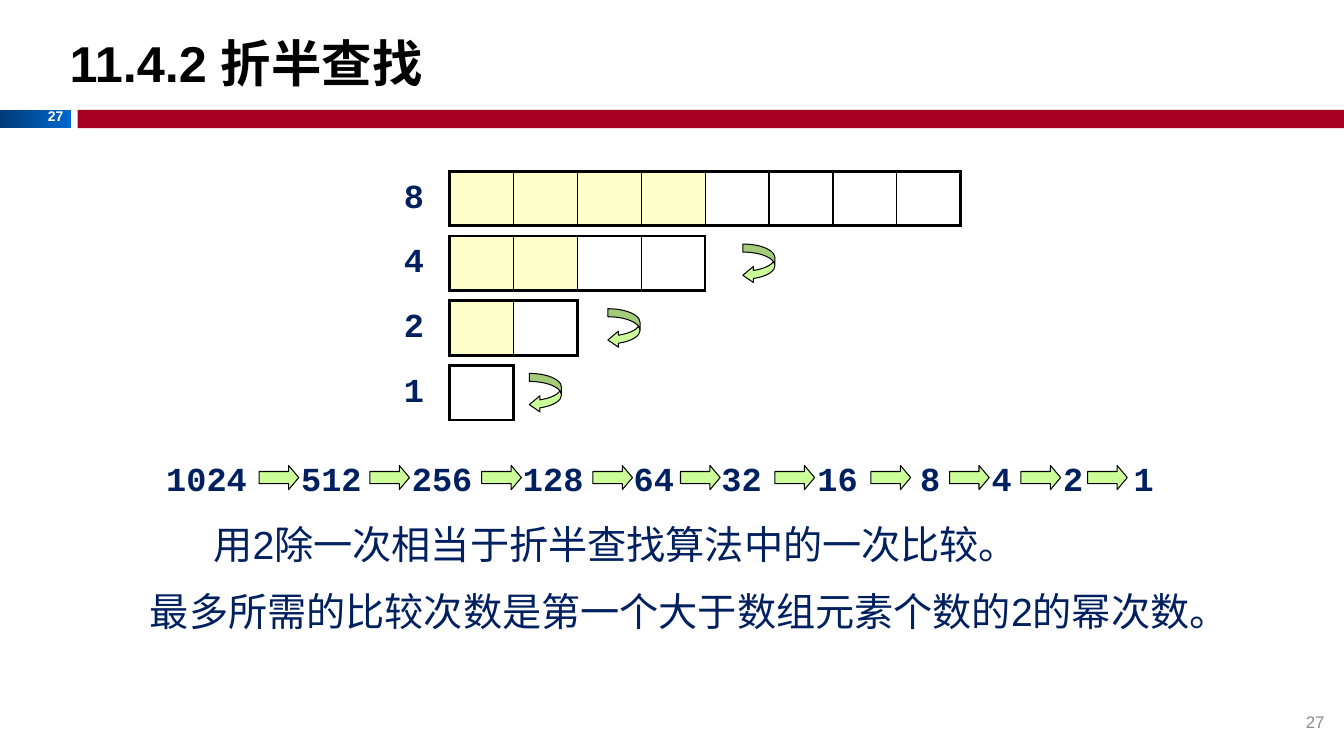
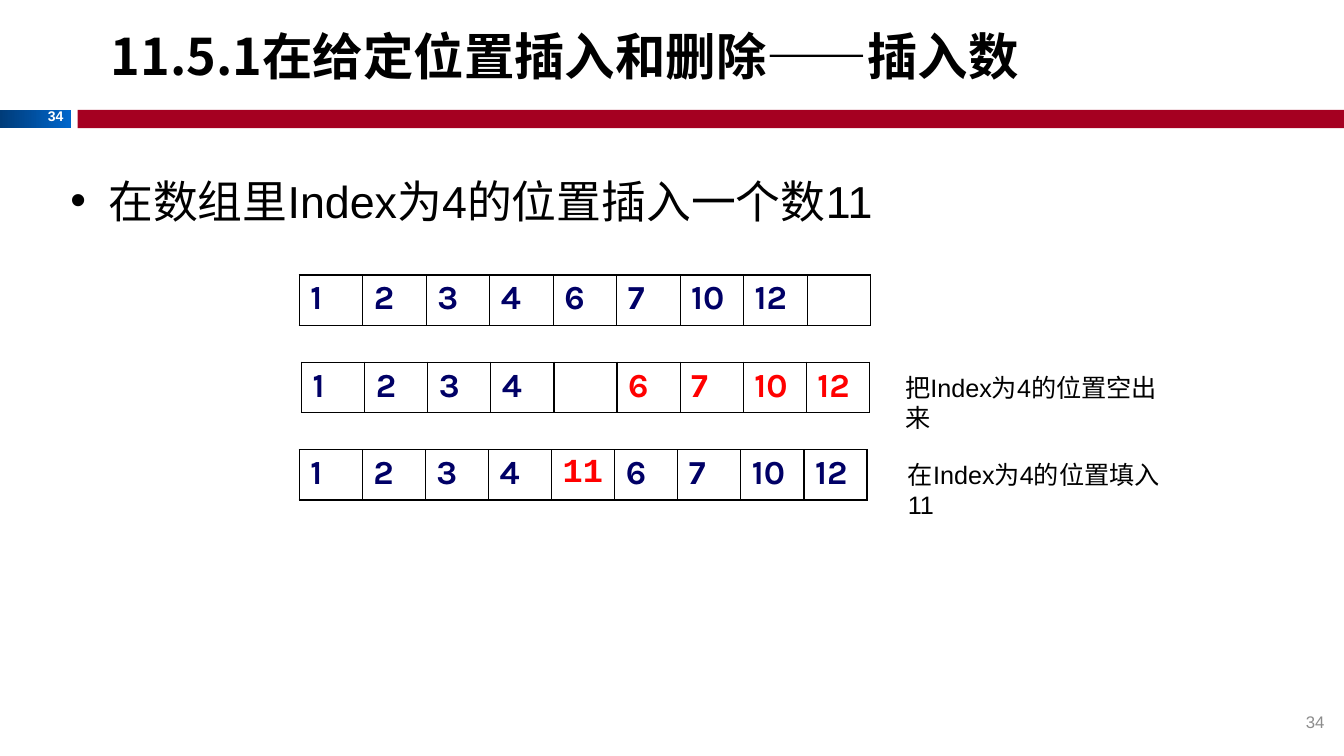
"""Build two lecture slides on binary search and on array insertion."""
import lxml.etree
import pptx
import pptx.dml.color
import pptx.enum.shapes
import pptx.enum.text
import pptx.oxml.ns
import pptx.util

Cm, Pt = pptx.util.Cm, pptx.util.Pt
SHAPE = pptx.enum.shapes.MSO_SHAPE
ANCHOR = pptx.enum.text.MSO_ANCHOR
ALIGN = pptx.enum.text.PP_ALIGN
qn = pptx.oxml.ns.qn

COLORS = {
    "black": "000000", "white": "FFFFFF", "grey": "8C8C8C", "crimson": "A50021",
    "deep": "003C79", "bright": "0066CC", "navy": "002060", "ink": "000066",
    "red": "FF0000", "cream": "FFFFCC", "lime": "CCFF99",
}
SANS, MONO, ROUND, HAN = "Arial", "Courier New", "Karla", "Noto Sans CJK SC"

SEARCH = {
    "page": 27,
    "title": "11.4.2 折半查找",
    "title_box": (1.5, 0, 24.77, 3.15),
    "title_font": SANS,
}
HALVES = [(8, None), (4, 18.72), (2, 15.32), (1, 13.34)]
CHAIN = [
    (1024, 3.94), (512, 7.34), (256, 10.13), (128, 12.93), (64, 15.72), (32, 17.93),
    (16, 20.35), (8, 22.94), (4, 24.74), (2, 26.54), (1, 28.32),
]
CHAIN_ARROWS = [6.53, 9.32, 12.14, 14.94, 17.15, 19.53, 21.95, 23.93, 25.73, 27.41]
CONCLUSIONS = [
    ("用2除一次相当于折半查找算法中的一次比较。", (5.13, 13.13, 24, 1.32)),
    ("最多所需的比较次数是第一个大于数组元素个数的2的幂次数。", (3.53, 14.81, 28, 1.34)),
]

INSERTION = {
    "page": 34,
    "title": "11.5.1在给定位置插入和删除——插入数",
    "title_box": (2.54, 0.46, 24.87, 1.88),
    "title_font": HAN,
}
TASK = "在数组里Index为4的位置插入一个数11"
STEPS = [
    {"values": [1, 2, 3, 4, 6, 7, 10, 12, ""], "left": 7.54, "cell": 1.6, "red": []},
    {"values": [1, 2, 3, 4, "", 6, 7, 10, 12], "left": 7.6, "cell": 1.59,
     "red": [6, 7, 10, 12], "note": "把Index为4的位置空出来", "note_left": 22.56},
    {"values": [1, 2, 3, 4, 11, 6, 7, 10, 12], "left": 7.54, "cell": 1.59,
     "red": [11], "note": "在Index为4的位置填入11", "note_left": 22.63},
]


def rgb(name):
    return pptx.dml.color.RGBColor.from_string(COLORS[name])


def write(frame, text, size, color, font=SANS, bold=False, align=ALIGN.LEFT, spacing=1.0):
    paragraph = frame.paragraphs[0]
    paragraph.alignment = align
    paragraph.line_spacing = spacing
    paragraph.space_before = Pt(0)
    run = paragraph.add_run()
    run.text = str(text)
    run.font.size, run.font.bold, run.font.name = Pt(size), bold, font
    run.font.color.rgb = rgb(color)
    lxml.etree.SubElement(run._r.get_or_add_rPr(), qn("a:ea"), typeface=HAN)


def add_text(slide, box, text, size, color, anchor=ANCHOR.TOP, **style):
    frame = slide.shapes.add_textbox(*map(Cm, box)).text_frame
    frame.word_wrap = True
    frame.vertical_anchor = anchor
    write(frame, text, size, color, **style)


def add_number(slide, left, top, number):
    box = (left, top, 0.51 * len(str(number)) + 0.6, 1.2)
    add_text(slide, box, number, 24, "navy", font=MONO, bold=True, spacing=0.9)


def add_arrow(slide, kind, box, adjustments):
    arrow = slide.shapes.add_shape(kind, *map(Cm, box))
    arrow.shadow.inherit = False
    arrow.fill.solid()
    arrow.fill.fore_color.rgb = rgb("lime")
    arrow.line.color.rgb = rgb("black")
    arrow.line.width = Pt(0.75)
    for index, value in enumerate(adjustments):
        arrow.adjustments[index] = value


def set_borders(cell, widths):
    properties = cell._tc.get_or_add_tcPr()
    for side, width in zip("LRTB", widths):
        line = lxml.etree.SubElement(properties, qn(f"a:ln{side}"), w=str(Pt(width)))
        solid = lxml.etree.SubElement(line, qn("a:solidFill"))
        lxml.etree.SubElement(solid, qn("a:srgbClr"), val=COLORS["black"])


def add_cells(slide, left, top, count, width, height, outer=1.0, shaded=0):
    box = map(Cm, (left, top, count * width, height))
    table = slide.shapes.add_table(1, count, *box).table
    table.first_row = table.horz_banding = False
    cells = [table.cell(0, index) for index in range(count)]
    for index, cell in enumerate(cells):
        table.columns[index].width = Cm(width)
        first = outer if index == 0 else 1
        last = outer if index == count - 1 else 1
        set_borders(cell, (first, last, outer, outer))
        cell.fill.solid()
        cell.fill.fore_color.rgb = rgb("cream" if index < shaded else "white")
        cell.margin_left = cell.margin_right = Cm(0.28)
        cell.margin_top = cell.margin_bottom = Cm(0.13)
    return cells


def add_master_bands(prs, slide):
    for left, width in ((0, 1.8), (1.96, 31.91)):
        band = slide.shapes.add_shape(SHAPE.RECTANGLE, *map(Cm, (left, 2.77, width, 0.46)))
        band.shadow.inherit = False
        band.line.fill.background()
        if left:
            band.fill.solid()
            band.fill.fore_color.rgb = rgb("crimson")
        else:
            band.fill.gradient()
            band.fill.gradient_angle = 0
            for stop, color in zip(band.fill.gradient_stops, ("deep", "bright")):
                stop.color.rgb = rgb(color)
        prs.slide_master.shapes.element.append(band.element)


def place(placeholder, box):
    placeholder.left, placeholder.top, placeholder.width, placeholder.height = map(Cm, box)
    placeholder.text_frame.auto_size = pptx.enum.text.MSO_AUTO_SIZE.NONE
    return placeholder.text_frame


def start_slide(prs, layout, content):
    slide = prs.slides.add_slide(prs.slide_layouts[layout])
    title = place(slide.shapes.title, content["title_box"])
    title.vertical_anchor = ANCHOR.MIDDLE
    write(title, content["title"], 36, "black", font=content["title_font"], bold=True)
    add_text(slide, (0, 2.59, 1.85, 0.69), content["page"], 10, "white",
             bold=True, align=ALIGN.RIGHT)
    add_text(slide, (26.01, 17.68, 7.62, 1.02), content["page"], 12, "grey",
             anchor=ANCHOR.MIDDLE, align=ALIGN.RIGHT)
    return slide


def build_search(prs):
    slide = start_slide(prs, 5, SEARCH)
    add_master_bands(prs, slide)
    for row, (count, arrow_left) in enumerate(HALVES):
        top = 4.32 + 1.63 * row
        add_cells(slide, 11.33, top, count, 1.61, 1.37, outer=2.25, shaded=count // 2)
        add_number(slide, 9.93, top + 0.07, count)
        if arrow_left:
            add_arrow(slide, SHAPE.CURVED_LEFT_ARROW, (arrow_left, top + 0.2, 0.81, 0.99),
                      (0.25, 0.5, 0.33))
    for number, left in CHAIN:
        add_number(slide, left, 11.53, number)
    for left in CHAIN_ARROWS:
        add_arrow(slide, SHAPE.RIGHT_ARROW, (left, 11.73, 1, 0.61), (0.5, 0.42))
    for sentence, box in CONCLUSIONS:
        add_text(slide, box, sentence, 28, "navy", spacing=0.9)


def build_insertion(prs):
    slide = start_slide(prs, 1, INSERTION)
    write(place(slide.placeholders[1], (1.52, 4.24, 23.72, 12.09)), TASK, 32, "black")
    for row, step in enumerate(STEPS):
        top = 6.93 + 2.2 * row
        values = step["values"]
        cells = add_cells(slide, step["left"], top, len(values), step["cell"], 1.27)
        for cell, value in zip(cells, values):
            if value:
                write(cell.text_frame, value, 24, "red" if value in step["red"] else "ink",
                      font=MONO if value == 11 else ROUND, bold=True, spacing=0.95)
        if "note" in step:
            add_text(slide, (step["note_left"], top + 0.12, 7.2, 1.02), step["note"], 18, "black")


def main():
    prs = pptx.Presentation()
    prs.slide_width, prs.slide_height = Cm(33.87), Cm(19.05)
    build_search(prs)
    build_insertion(prs)
    prs.save("out.pptx")


if __name__ == "__main__":
    main()
